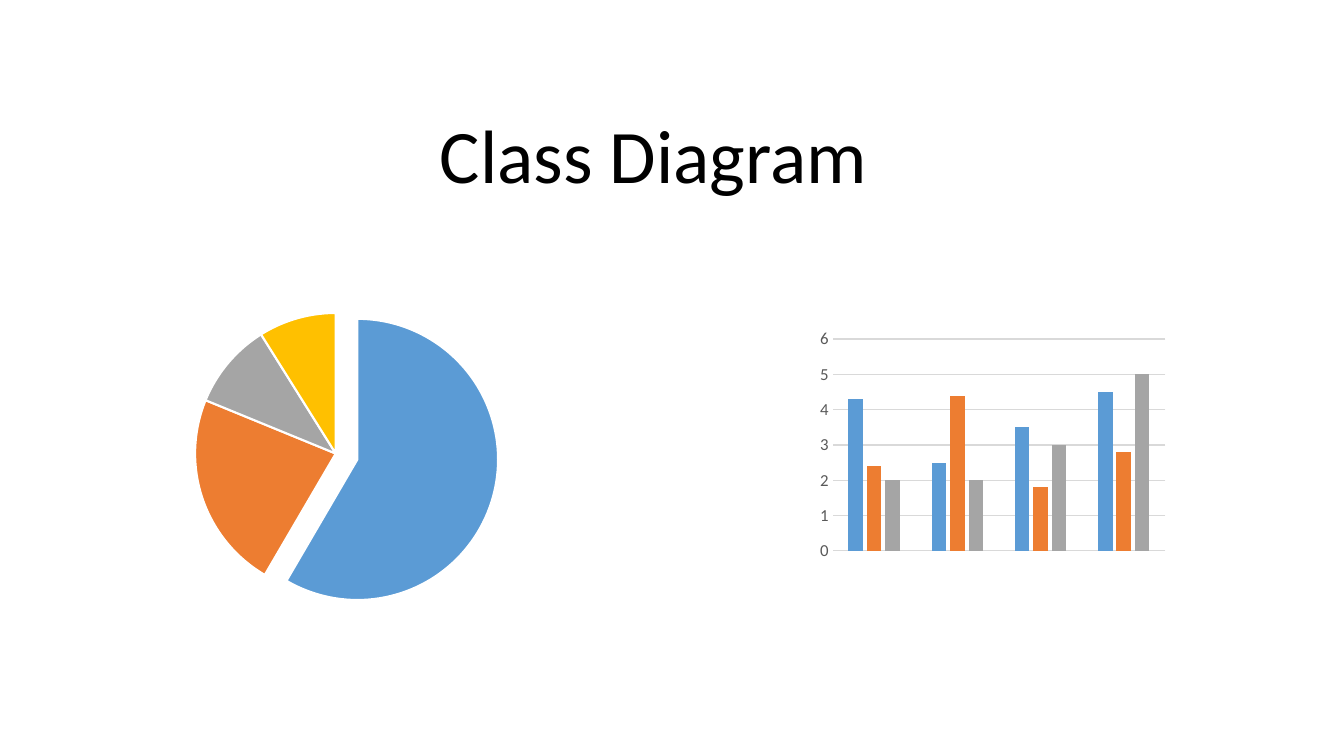
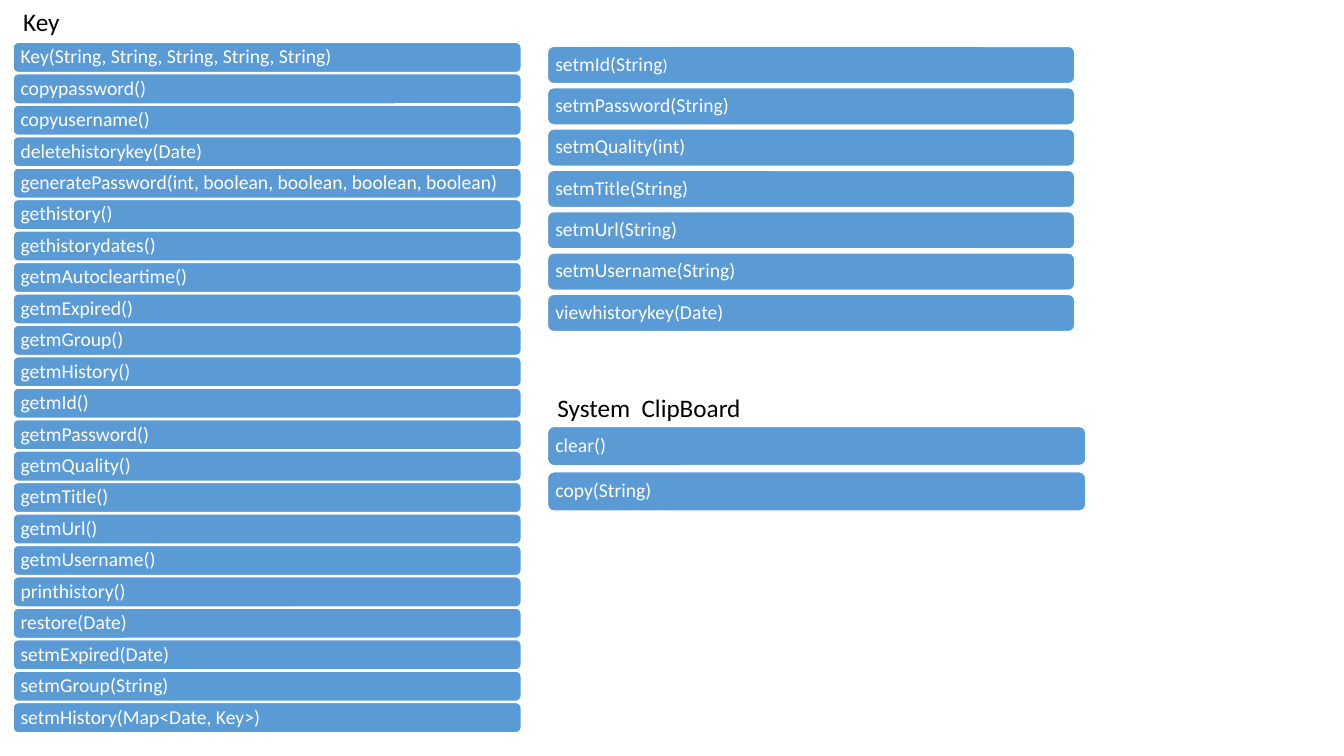
import pptx
import pptx.chart.data
import pptx.dml.color
import pptx.enum.chart
import pptx.enum.shapes
import pptx.enum.text
import pptx.util
from lxml import etree

Inches = pptx.util.Inches
Pt = pptx.util.Pt

FONT = "Calibri"
BLACK, WHITE, GREY, GRID = "000000", "FFFFFF", "595959", "D9D9D9"
ACCENTS = ("5B9BD5", "ED7D31", "A5A5A5", "FFC000")
CATEGORIES = ("1", "2", "3", "4")

KEY_METHODS = (
    "Key(String, String, String, String, String)", "copypassword()",
    "copyusername()", "deletehistorykey(Date)",
    "generatePassword(int, boolean, boolean, boolean, boolean)",
    "gethistory()", "gethistorydates()", "getmAutocleartime()",
    "getmExpired()", "getmGroup()", "getmHistory()", "getmId()",
    "getmPassword()", "getmQuality()", "getmTitle()", "getmUrl()",
    "getmUsername()", "printhistory()", "restore(Date)",
    "setmExpired(Date)", "setmGroup(String)", "setmHistory(Map<Date, Key>)",
)
KEY_SETTERS = (
    "setmId(String", "setmPassword(String)", "setmQuality(int)",
    "setmTitle(String)", "setmUrl(String)", "setmUsername(String)",
    "viewhistorykey(Date)",
)
CLIPBOARD_METHODS = ("clear()", "copy(String)")


def rgb(hex_colour):
    """Turn a hex string into a colour."""
    return pptx.dml.color.RGBColor.from_string(hex_colour)


def paint(fill, hex_colour):
    """Make a fill solid in the given colour."""
    fill.solid()
    fill.fore_color.rgb = rgb(hex_colour)


def style_font(font, size, hex_colour):
    """Set typeface, size and colour of a font."""
    font.name = FONT
    font.size = Pt(size)
    font.color.rgb = rgb(hex_colour)


def set_heading(heading, text, size, align):
    """Write a black heading at the top of its frame."""
    frame = heading.text_frame
    frame.text = text
    frame.word_wrap = True
    frame.auto_size = pptx.enum.text.MSO_AUTO_SIZE.NONE
    frame.vertical_anchor = pptx.enum.text.MSO_ANCHOR.TOP
    frame.paragraphs[0].alignment = align
    style_font(frame.paragraphs[0].runs[0].font, size, BLACK)


def add_titled_slide(deck, text, box, size, align):
    """Add a title-only slide with its title placed and styled."""
    slide = deck.slides.add_slide(deck.slide_layouts[5])
    title = slide.shapes.title
    title.left, title.top, title.width, title.height = map(Inches, box)
    set_heading(title, text, size, align)
    return slide


def add_method_list(slide, methods, left, top, width, height, pitch):
    """Stack one rounded bar per method and return the bars."""
    bars = []
    for row, method in enumerate(methods):
        bar = slide.shapes.add_shape(
            pptx.enum.shapes.MSO_SHAPE.ROUNDED_RECTANGLE,
            Inches(left), Inches(top + row * pitch),
            Inches(width), Inches(height))
        bar.shadow.inherit = False
        paint(bar.fill, ACCENTS[0])
        bar.line.color.rgb = rgb(WHITE)
        bar.line.width = Pt(1)
        frame = bar.text_frame
        frame.text = method
        frame.word_wrap = True
        frame.vertical_anchor = pptx.enum.text.MSO_ANCHOR.MIDDLE
        frame.margin_left = frame.margin_right = Inches(0.06)
        frame.margin_top = frame.margin_bottom = 0
        paragraph = frame.paragraphs[0]
        paragraph.alignment = pptx.enum.text.PP_ALIGN.LEFT
        paragraph.line_spacing = 0.9
        style_font(paragraph.runs[0].font, 14, WHITE)
        bars.append(bar)
    return bars


def place_plot(chart, x, y, w, h):
    """Fix the inner plot area as fractions of the chart."""
    plot_area = chart.plots[0]._element.getparent()
    namespace = etree.QName(plot_area).namespace
    layout = plot_area.find(f"{{{namespace}}}layout")
    if layout is None:
        layout = etree.Element(f"{{{namespace}}}layout")
        plot_area.insert(0, layout)
    manual = etree.SubElement(layout, f"{{{namespace}}}manualLayout")
    settings = (("layoutTarget", "inner"), ("xMode", "edge"),
                ("yMode", "edge"), ("x", x), ("y", y), ("w", w), ("h", h))
    for tag, value in settings:
        etree.SubElement(manual, f"{{{namespace}}}{tag}", val=str(value))


def add_plain_chart(slide, kind, box, rows, plot_box):
    """Add a chart without title or legend."""
    chart_data = pptx.chart.data.CategoryChartData()
    chart_data.categories = CATEGORIES
    for number, values in enumerate(rows, 1):
        chart_data.add_series(f"Series {number}", values)
    chart = slide.shapes.add_chart(kind, *map(Inches, box), chart_data).chart
    chart.has_title = False
    chart.has_legend = False
    style_font(chart.font, 10, BLACK)
    place_plot(chart, *plot_box)
    return chart


def add_pie(slide):
    """Add the pie with its first slice pulled out."""
    chart = add_plain_chart(
        slide, pptx.enum.chart.XL_CHART_TYPE.PIE, (1.57, 2.95, 3.52, 3.1),
        [(59, 23, 10, 9)], (0.1, 0.05, 0.8, 0.9))
    chart.plots[0].vary_by_categories = True
    shares = chart.plots[0].series[0]
    for index, colour in enumerate(ACCENTS):
        slice_format = shares.points[index].format
        paint(slice_format.fill, colour)
        slice_format.line.color.rgb = rgb(WHITE)
        slice_format.line.width = Pt(1.5)
    first_slice = shares._element.find("{*}dPt")
    namespace = etree.QName(first_slice).namespace
    explosion = etree.Element(f"{{{namespace}}}explosion", val="16")
    first_slice.find("{*}spPr").addprevious(explosion)


def add_columns(slide):
    """Add the clustered columns with a light grid."""
    chart = add_plain_chart(
        slide, pptx.enum.chart.XL_CHART_TYPE.COLUMN_CLUSTERED,
        (8.08, 3.22, 3.55, 2.39),
        [(4.3, 2.5, 3.5, 4.5), (2.4, 4.4, 1.8, 2.8), (2, 2, 3, 5)],
        (0.05, 0.06, 0.93, 0.88))
    columns = chart.plots[0]
    columns.vary_by_categories = False
    columns.gap_width = 219
    columns.overlap = -27
    for series, colour in zip(columns.series, ACCENTS):
        paint(series.format.fill, colour)
    chart.category_axis.visible = False
    scale = chart.value_axis
    scale.minimum_scale, scale.maximum_scale, scale.major_unit = 0, 6, 1
    scale.major_tick_mark = pptx.enum.chart.XL_TICK_MARK.NONE
    scale.minor_tick_mark = pptx.enum.chart.XL_TICK_MARK.NONE
    scale.format.line.fill.background()
    scale.tick_labels.number_format = "General"
    scale.tick_labels.number_format_is_linked = False
    style_font(scale.tick_labels.font, 12, GREY)
    scale.has_major_gridlines = True
    scale.major_gridlines.format.line.color.rgb = rgb(GRID)
    scale.major_gridlines.format.line.width = Pt(0.75)


def build_cover(deck):
    """Build the opening slide with its two charts."""
    cover = add_titled_slide(deck, "Class Diagram", (3.33, 1.02, 6.3, 1.01),
                             54, pptx.enum.text.PP_ALIGN.CENTER)
    add_pie(cover)
    add_columns(cover)


def build_classes(deck):
    """Build the slide that lists the methods of both classes."""
    left_align = pptx.enum.text.PP_ALIGN.LEFT
    classes = add_titled_slide(deck, "Key", (0.13, 0.01, 2.54, 0.4),
                               18, left_align)
    add_method_list(classes, KEY_METHODS, 0.13, 0.42, 5.04, 0.3, 6.55 / 21)
    setters = add_method_list(classes, KEY_SETTERS, 5.43, 0.46, 5.23, 0.37, 0.41)
    closing = setters[0].text_frame.paragraphs[0].add_run()
    closing.text = ")"
    style_font(closing.font, 12, WHITE)
    add_method_list(classes, CLIPBOARD_METHODS, 5.43, 4.23, 5.34, 0.39, 0.45)
    clipboard = classes.shapes.add_textbox(
        *map(Inches, (5.43, 3.84, 2.54, 0.4)))
    set_heading(clipboard, "System  ClipBoard", 18, left_align)


def main():
    """Build and save the presentation."""
    deck = pptx.Presentation()
    deck.slide_width, deck.slide_height = Inches(13.33), Inches(7.5)
    build_cover(deck)
    build_classes(deck)
    deck.save("out.pptx")


if __name__ == "__main__":
    main()
